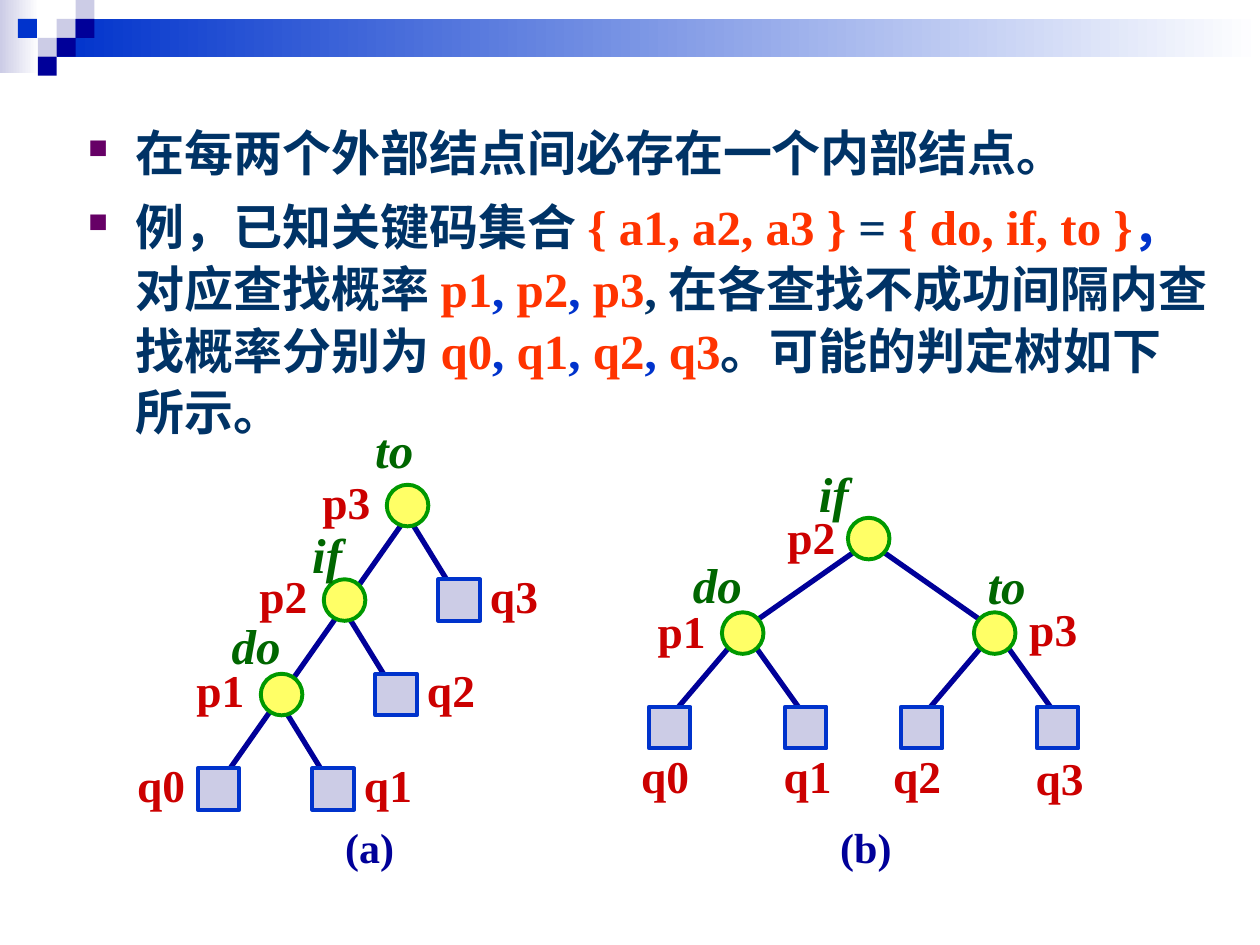
"""Draw a slide with two decision trees for the keys do, if and to."""
from typing import NamedTuple

from lxml import etree
from pptx import Presentation
from pptx.dml.color import RGBColor
from pptx.enum.shapes import MSO_CONNECTOR, MSO_SHAPE
from pptx.enum.text import MSO_ANCHOR
from pptx.oxml.ns import qn
from pptx.util import Inches, Pt

RECT, OVAL = MSO_SHAPE.RECTANGLE, MSO_SHAPE.OVAL
LINE, TOP = MSO_CONNECTOR.STRAIGHT, MSO_ANCHOR.TOP
WIDE, HIGH = 10, 7.5
COL, ROW = WIDE / 20, HIGH / 10
CELL = WIDE * 0.015
NODE = 0.33
FONT = "Times New Roman"
HUES = {
    "navy": "000099", "blue": "0033CC", "pale": "CCCCE6", "white": "FFFFFF",
    "ink": "003366", "hot": "FF3300", "plum": "660066", "lemon": "FFFF66",
    "leaf": "009900", "green": "006600", "red": "CC0000",
}
WIDTHS = {"do": 0.59, "if": 0.44, "to": 0.5, "(a)": 0.59, "(b)": 0.61}


class Tag(NamedTuple):
    text: str
    col: float
    row: float


class Node(NamedTuple):
    col: float
    row: float
    tag: Tag
    word: Tag | None = None


class Edge(NamedTuple):
    start: str
    end: str
    leave: tuple[float, float]
    reach: tuple[float, float]


class Tree(NamedTuple):
    col: float
    row: float
    nodes: list[Node]
    edges: list[Edge]
    title: Tag


LEFT = Tree(6.47, 5.35, [
    Node(0, 0, Tag("p3", -0.97, -0.04), Tag("to", -0.21, -0.6)),
    Node(-1, 1, Tag("p2", -0.97, -0.05), Tag("if", -0.27, -0.49)),
    Node(-2, 2, Tag("p1", -0.97, -0.05), Tag("do", -0.4, -0.52)),
    Node(-3, 3, Tag("q0", -0.91, -0.05)),
    Node(-1.18, 3, Tag("q1", 0.87, -0.05)),
    Node(-0.18, 2, Tag("q2", 0.87, -0.05)),
    Node(0.82, 1, Tag("q3", 0.87, -0.05)),
], [
    Edge("p3", "q3", (0, 1), (0, 0)),
    Edge("p2", "q2", (0, 1), (0, 0)),
    Edge("p1", "q1", (0, 1), (0, 0)),
    Edge("p3", "q0", (0, 1), (-1, 1)),
], Tag("(a)", 5.87, 8.96))

RIGHT = Tree(13.79, 5.7, [
    Node(0, 0, Tag("p2", -0.91, -0.02), Tag("if", -0.55, -0.48)),
    Node(-2, 1, Tag("p1", -0.97, -0.02), Tag("do", -0.4, -0.52)),
    Node(2, 1, Tag("p3", 0.93, -0.05), Tag("to", 0.19, -0.51)),
    Node(-3.16, 2, Tag("q0", -0.07, 0.51)),
    Node(-1, 2, Tag("q1", 0.03, 0.51)),
    Node(0.84, 2, Tag("q2", -0.07, 0.51)),
    Node(3, 2, Tag("q3", 0.03, 0.53)),
], [
    Edge("p2", "p3", (1, 1), (-1, -1)),
    Edge("p2", "p1", (-1, 1), (1, -1)),
    Edge("p1", "q1", (1, 1), (0, -1)),
    Edge("p1", "q0", (-1, 1), (0, -1)),
    Edge("p3", "q3", (1, 1), (0, -1)),
    Edge("p3", "q2", (-1, 1), (0, -1)),
], Tag("(b)", 13.75, 8.96))


def tint(name: str) -> RGBColor:
    return RGBColor.from_string(HUES[name])


def write(para, text: str, *, size: float = 28, hue: str = "ink", slant: bool = False) -> None:
    run = para.add_run()
    run.text = text
    font = run.font
    font.name, font.size, font.bold, font.italic = FONT, Pt(size), True, slant
    font.color.rgb = tint(hue)


def block(slide, kind, box: tuple, fill: str, edge: str = "", fade: str = "") -> None:
    shape = slide.shapes.add_shape(kind, *map(Inches, box))
    shape.shadow.inherit = False
    if fade:
        shape.fill.gradient()
        shape.fill.gradient_angle = 0
        for stop, name in zip(shape.fill.gradient_stops, (fill, fade)):
            stop.color.rgb = tint(name)
    else:
        shape.fill.solid()
        shape.fill.fore_color.rgb = tint(fill)
    if edge:
        shape.line.color.rgb = tint(edge)
        shape.line.width = Pt(2.25)
    else:
        shape.line.fill.background()


def label(slide, tag: Tag, col: float = 0, row: float = 0, **form) -> None:
    wide = WIDTHS.get(tag.text, 0.58)
    high = form["size"] / 72 * 1.16 + 0.12
    left = (col + tag.col) * COL - wide / 2
    top = (row + tag.row) * ROW - high / 2
    frame = slide.shapes.add_textbox(*map(Inches, (left, top, wide, high))).text_frame
    frame.word_wrap = False
    write(frame.paragraphs[0], tag.text, **form)


def link(slide, tree: Tree, edge: Edge) -> None:
    spots = {n.tag.text: n for n in tree.nodes}
    ends = []
    for name, (dx, dy) in ((edge.start, edge.leave), (edge.end, edge.reach)):
        node = spots[name]
        ends += [(tree.col + node.col) * COL + dx * NODE / 4,
                 (tree.row + node.row) * ROW + dy * NODE / 4]
    line = slide.shapes.add_connector(LINE, *map(Inches, ends))
    line.line.color.rgb = tint("navy")
    line.line.width = Pt(3)
    etree.SubElement(line._element.spPr, qn("a:effectLst"))


def plant(slide, tree: Tree) -> None:
    for edge in tree.edges:
        link(slide, tree, edge)
    for node in tree.nodes:
        col, row = tree.col + node.col, tree.row + node.row
        box = (col * COL - NODE / 2, row * ROW - NODE / 2, NODE, NODE)
        look = (OVAL, box, "lemon", "leaf") if node.word else (RECT, box, "pale", "blue")
        block(slide, *look)
    for node in tree.nodes:
        col, row = tree.col + node.col, tree.row + node.row
        label(slide, node.tag, col, row, size=26, hue="red")
        if node.word:
            label(slide, node.word, col, row, size=28, hue="green", slant=True)
    label(slide, tree.title, size=24, hue="navy")


def banner(slide) -> None:
    block(slide, RECT, (0, 0, 0.31, 0.58), "pale", fade="white")
    block(slide, RECT, (3 * CELL, CELL, WIDE - 3 * CELL, 2 * CELL), "blue", fade="white")
    cells = {"pale": [(3, 1), (4, 0), (2, 2)], "navy": [(4, 1), (3, 2), (2, 3)], "blue": [(0.95, 1)]}
    for hue, spots in cells.items():
        for col, row in spots:
            block(slide, RECT, (col * CELL, row * CELL, CELL, CELL), hue)


def bullet(para) -> None:
    prop = para._p.get_or_add_pPr()
    prop.set("marL", str(Inches(0.38)))
    prop.set("indent", str(-Inches(0.38)))
    color = etree.SubElement(prop, qn("a:buClr"))
    etree.SubElement(color, qn("a:srgbClr"), val=HUES["plum"])
    etree.SubElement(prop, qn("a:buSzPct"), val="55000")
    etree.SubElement(prop, qn("a:buChar"), char="■")
    para.line_spacing = 1.05


def series(names: list[str]) -> list[tuple[str, str]]:
    pairs = [part for name in names for part in ((name, "hot"), (", ", "blue"))]
    return pairs[:-1]


def prose(slide) -> None:
    frame = slide.shapes.add_textbox(*map(Inches, (0.6, 0.9, 9.08, 2.62))).text_frame
    frame.word_wrap, frame.vertical_anchor = True, TOP
    first, second = frame.paragraphs[0], frame.add_paragraph()
    for para in (first, second):
        bullet(para)
    second.space_before = Pt(7)
    write(first, "在每两个外部结点间必存在一个内部结点。")
    parts = [("例，已知关键码集合 ", "ink"), ("{ a1, a2, a3 } ", "hot"), ("= ", "ink"),
             ("{ do, if, to }", "hot"), ("，", "blue"), ("对应查找概率 ", "ink"),
             *series(["p1", "p2", "p3"]), (", 在各查找不成功间隔内查找概率分别为 ", "ink"),
             *series(["q0", "q1", "q2", "q3"]), ("。可能的判定树如下所示。", "ink")]
    for text, hue in parts:
        write(second, text, hue=hue)


def main() -> None:
    deck = Presentation()
    deck.slide_width, deck.slide_height = Inches(WIDE), Inches(HIGH)
    slide = deck.slides.add_slide(deck.slide_layouts[6])
    banner(slide)
    prose(slide)
    for tree in (LEFT, RIGHT):
        plant(slide, tree)
    deck.save("out.pptx")


if __name__ == "__main__":
    main()
